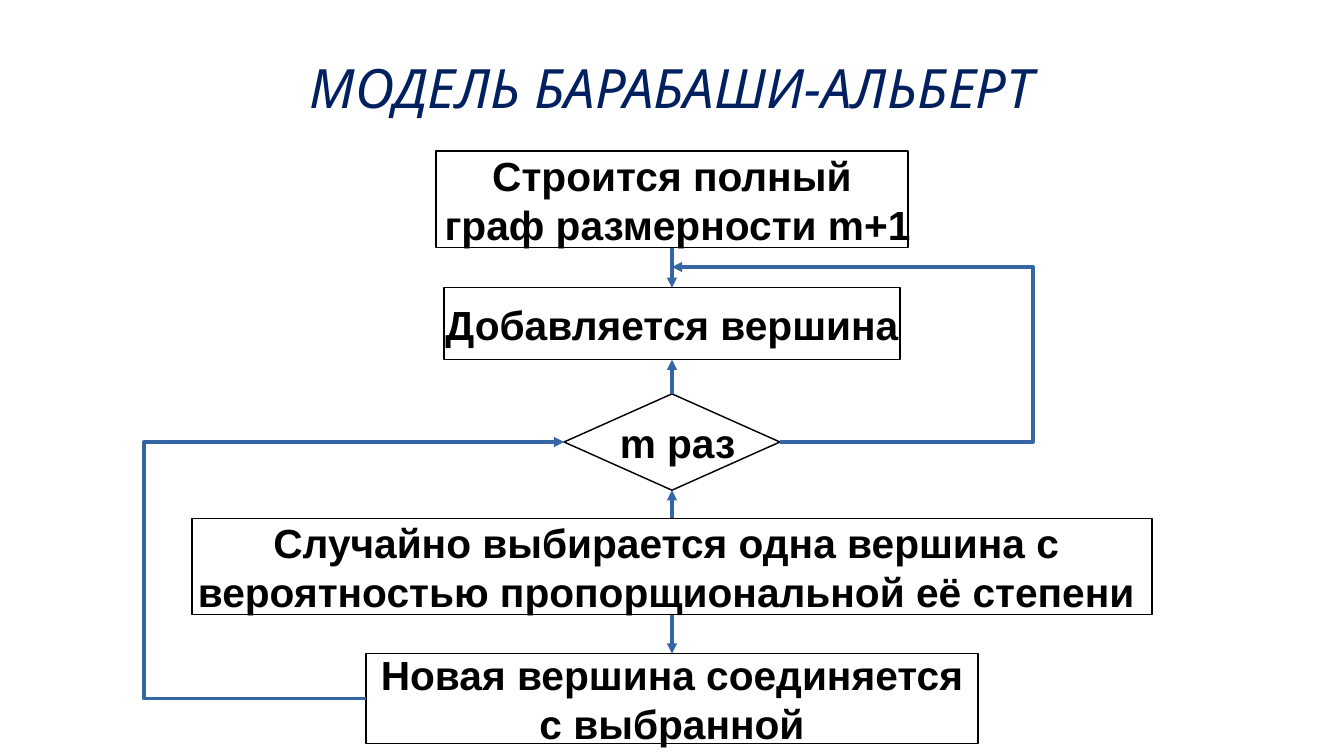
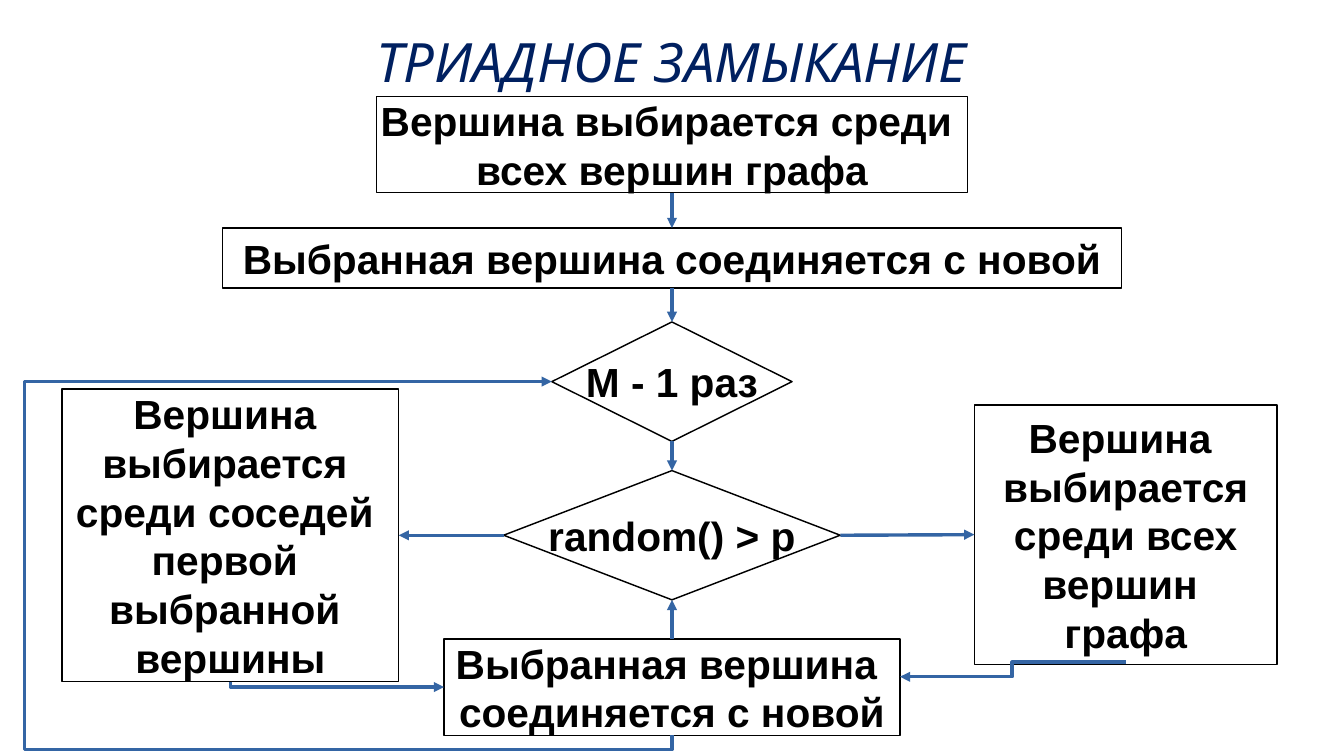
from lxml.etree import SubElement
from pptx import Presentation
from pptx.dml.color import RGBColor
from pptx.enum.shapes import MSO_CONNECTOR as LINE, MSO_SHAPE as SHAPE
from pptx.enum.text import MSO_ANCHOR, PP_ALIGN
from pptx.oxml.ns import qn
from pptx.util import Inches, Pt

SLIDE_W, SLIDE_H = 11.02, 6.2
MID = SLIDE_W / 2
NAVY, BLACK, WHITE, BLUE = "002060", "000000", "FFFFFF", "3465A4"
BOX, DIAMOND = SHAPE.FLOWCHART_PROCESS, SHAPE.FLOWCHART_DECISION
TOP, LEFT, BOTTOM, RIGHT = range(4)


def color(hex_code):
    return RGBColor.from_string(hex_code)


def style_text(tf, font, size, hex_code, bold=False, italic=False):
    tf.vertical_anchor = MSO_ANCHOR.MIDDLE
    for p in tf.paragraphs:
        p.alignment = PP_ALIGN.CENTER
        for r in p.runs:
            r.font.name, r.font.size = font, Pt(size)
            r.font.bold, r.font.italic = bold, italic
            r.font.color.rgb = color(hex_code)


def add_title(s, y, text):
    w, h = 6.9, 0.49
    tf = s.shapes.add_textbox(Inches(MID - w / 2), Inches(y), Inches(w), Inches(h)).text_frame
    tf.word_wrap = True
    tf.margin_left = tf.margin_right = tf.margin_top = tf.margin_bottom = 0
    tf.text = text
    tf.paragraphs[0].line_spacing = 0.9
    style_text(tf, "Noto Sans", 32, NAVY, italic=True)


def add_node(s, kind, y, w, h, text, cx=MID):
    """Flowchart block centred on cx."""
    sp = s.shapes.add_shape(kind, Inches(cx - w / 2), Inches(y), Inches(w), Inches(h))
    sp.shadow.inherit = False
    sp.fill.solid()
    sp.fill.fore_color.rgb = color(WHITE)
    sp.line.color.rgb = color(BLACK)
    sp.line.width = Pt(0.85)
    tf = sp.text_frame
    tf.word_wrap = False
    tf.text = text
    style_text(tf, "Arial", 24, BLACK, bold=True)
    return sp


def side_point(node, side):
    """Middle of a node's side, in inches."""
    x, y, w, h = (v.inches for v in (node.left, node.top, node.width, node.height))
    return {TOP: (x + w / 2, y), LEFT: (x, y + h / 2),
            BOTTOM: (x + w / 2, y + h), RIGHT: (x + w, y + h / 2)}[side]


def style_arrow(c):
    c.line.color.rgb = color(BLUE)
    c.line.width = Pt(0)
    SubElement(c.line._get_or_add_ln(), qn("a:tailEnd"), type="triangle")
    SubElement(c.element.spPr, qn("a:effectLst"))


def add_arrow(s, start, start_side, end, end_side):
    c = s.shapes.add_connector(LINE.STRAIGHT, 0, 0, 0, 0)
    c.begin_connect(start, start_side)
    c.end_connect(end, end_side)
    style_arrow(c)


def add_elbow(s, start, end, preset="bentConnector3", bends=(), upright=False):
    """Bent arrow; an end is a point or a (node, side) pair, upright leaves vertically.

    bends holds the coordinate of each adjustable segment, in turn.
    """
    is_node = [not isinstance(e[0], (int, float)) for e in (start, end)]
    (x1, y1), (x2, y2) = (side_point(*e) if n else e for e, n in zip((start, end), is_node))
    c = s.shapes.add_connector(LINE.ELBOW, 0, 0, 0, 0)
    if is_node[0]:
        c.begin_connect(*start)
    if is_node[1]:
        c.end_connect(*end)

    spans = [(x1, x2 - x1), (y1, y2 - y1)]
    dx, dy = x2 - x1, y2 - y1
    if upright:
        spans.reverse()
        dx, dy = -dy, dx
        c.element.spPr.find(qn("a:xfrm")).set("rot", "16200000")
    cx, cy = (x1 + x2) / 2, (y1 + y2) / 2
    c.begin_x, c.begin_y = Inches(cx - dx / 2), Inches(cy - dy / 2)
    c.end_x, c.end_y = Inches(cx + dx / 2), Inches(cy + dy / 2)

    geom = c.element.spPr.find(qn("a:prstGeom"))
    geom.set("prst", preset)
    guides = geom.find(qn("a:avLst"))
    for i, (bend, (origin, span)) in enumerate(zip(bends, spans), 1):
        SubElement(guides, qn("a:gd"), name=f"adj{i}",
                   fmla=f"val {round((bend - origin) / span * 100000)}")
    style_arrow(c)


def build_barabasi(s):
    add_title(s, 0.5, "МОДЕЛЬ БАРАБАШИ-АЛЬБЕРТ")
    graph = add_node(s, BOX, 1.24, 3.87, 0.79, "Строится полный\n граф размерности m+1")
    vertex = add_node(s, BOX, 2.36, 3.74, 0.59, "Добавляется вершина")
    times = add_node(s, DIAMOND, 3.23, 1.77, 0.79, " m раз")
    choice = add_node(s, BOX, 4.25, 7.87, 0.79,
                      "Случайно выбирается одна вершина с \n"
                      "вероятностью пропорщиональной её степени ")
    joined = add_node(s, BOX, 5.36, 5.02, 0.74, "Новая вершина соединяется\nс выбранной")
    add_arrow(s, graph, BOTTOM, vertex, TOP)
    add_arrow(s, times, TOP, vertex, BOTTOM)
    add_arrow(s, choice, TOP, times, BOTTOM)
    add_arrow(s, choice, BOTTOM, joined, TOP)
    add_elbow(s, (times, RIGHT), (MID, 2.19), bends=[8.47])
    add_elbow(s, (joined, LEFT), (times, LEFT), bends=[1.18])


def build_triadic(s):
    add_title(s, 0.29, "ТРИАДНОЕ ЗАМЫКАНИЕ")
    first = add_node(s, BOX, 0.79, 4.85, 0.79, "Вершина выбирается среди \nвсех вершин графа")
    linked = add_node(s, BOX, 1.87, 7.37, 0.49, "Выбранная вершина соединяется с новой")
    times = add_node(s, DIAMOND, 2.64, 1.97, 0.98, "M - 1 раз")
    chance = add_node(s, DIAMOND, 3.86, 2.76, 1.06, "random() > p")
    joined = add_node(s, BOX, 5.24, 3.74, 0.79, "Выбранная вершина \nсоединяется с новой")
    near = add_node(s, BOX, 3.19, 2.76, 2.4,
                    "Вершина \nвыбирается \nсреди соседей \nпервой \nвыбранной \nвершины", cx=1.89)
    anyone = add_node(s, BOX, 3.32, 2.48, 2.13,
                      "Вершина \nвыбирается\n среди всех \nвершин \nграфа", cx=9.23)
    add_arrow(s, first, BOTTOM, linked, TOP)
    add_arrow(s, linked, BOTTOM, times, TOP)
    add_arrow(s, times, BOTTOM, chance, TOP)
    add_arrow(s, joined, TOP, chance, BOTTOM)
    add_arrow(s, chance, LEFT, near, RIGHT)
    add_arrow(s, chance, RIGHT, anyone, LEFT)
    add_elbow(s, (9.23, 5.43), (7.38, 5.55), bends=[8.3])
    add_elbow(s, (near, BOTTOM), (joined, LEFT), "bentConnector2", upright=True)
    add_elbow(s, (joined, BOTTOM), (times, LEFT), "bentConnector4", [6.15, 0.2], upright=True)


def main():
    prs = Presentation()
    prs.slide_width, prs.slide_height = Inches(SLIDE_W), Inches(SLIDE_H)
    for build in (build_barabasi, build_triadic):
        build(prs.slides.add_slide(prs.slide_layouts[6]))
    prs.save("out.pptx")


if __name__ == "__main__":
    main()
